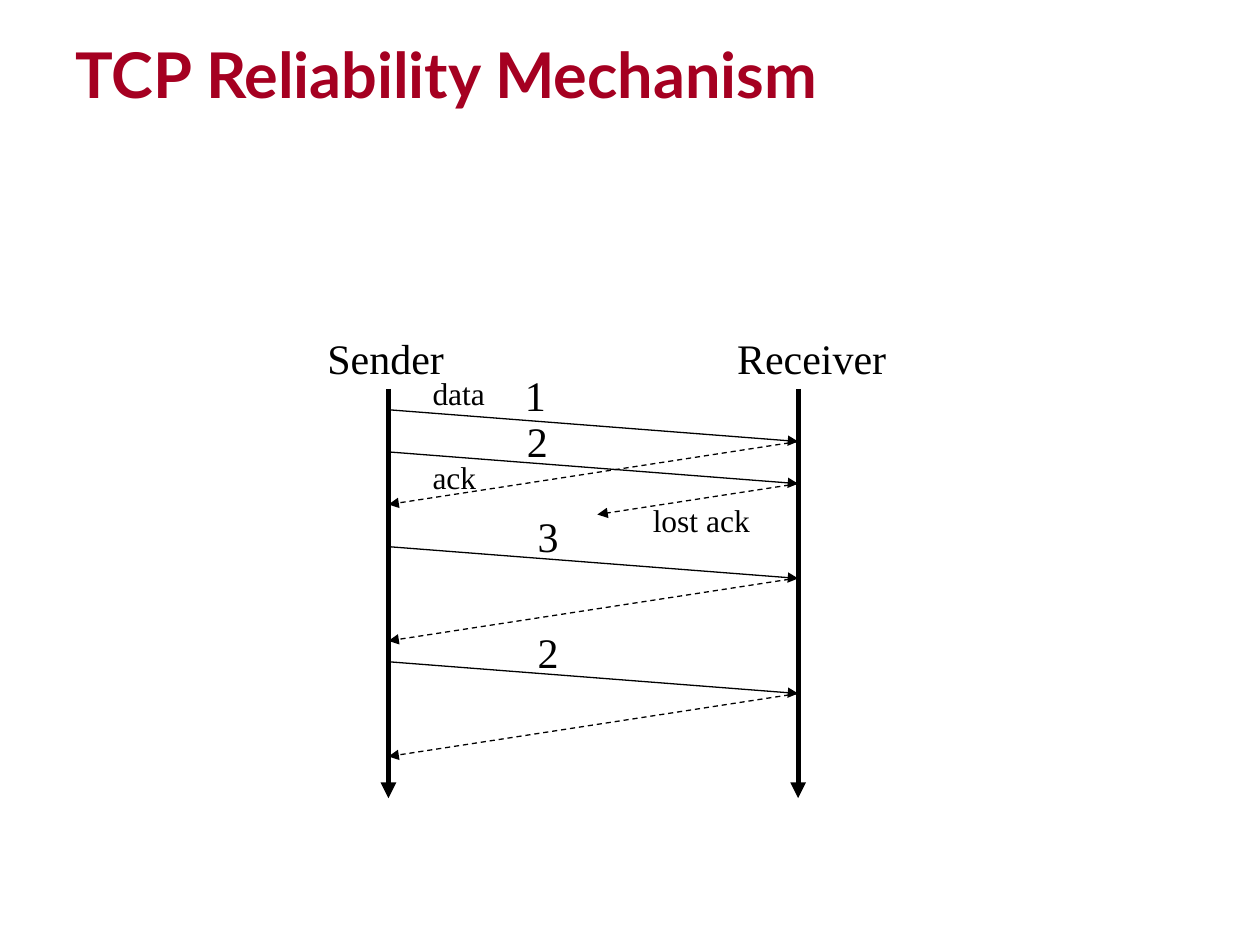
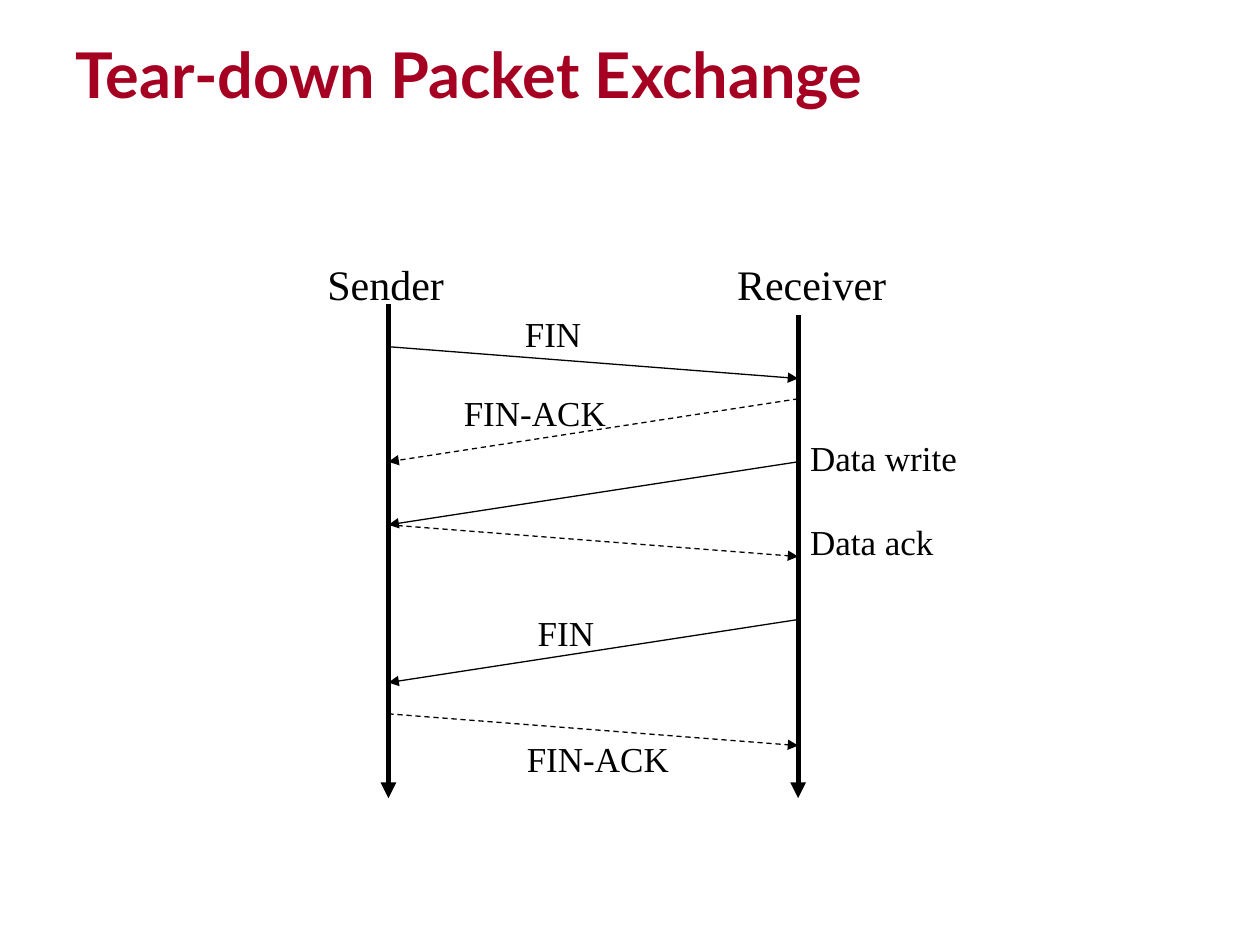
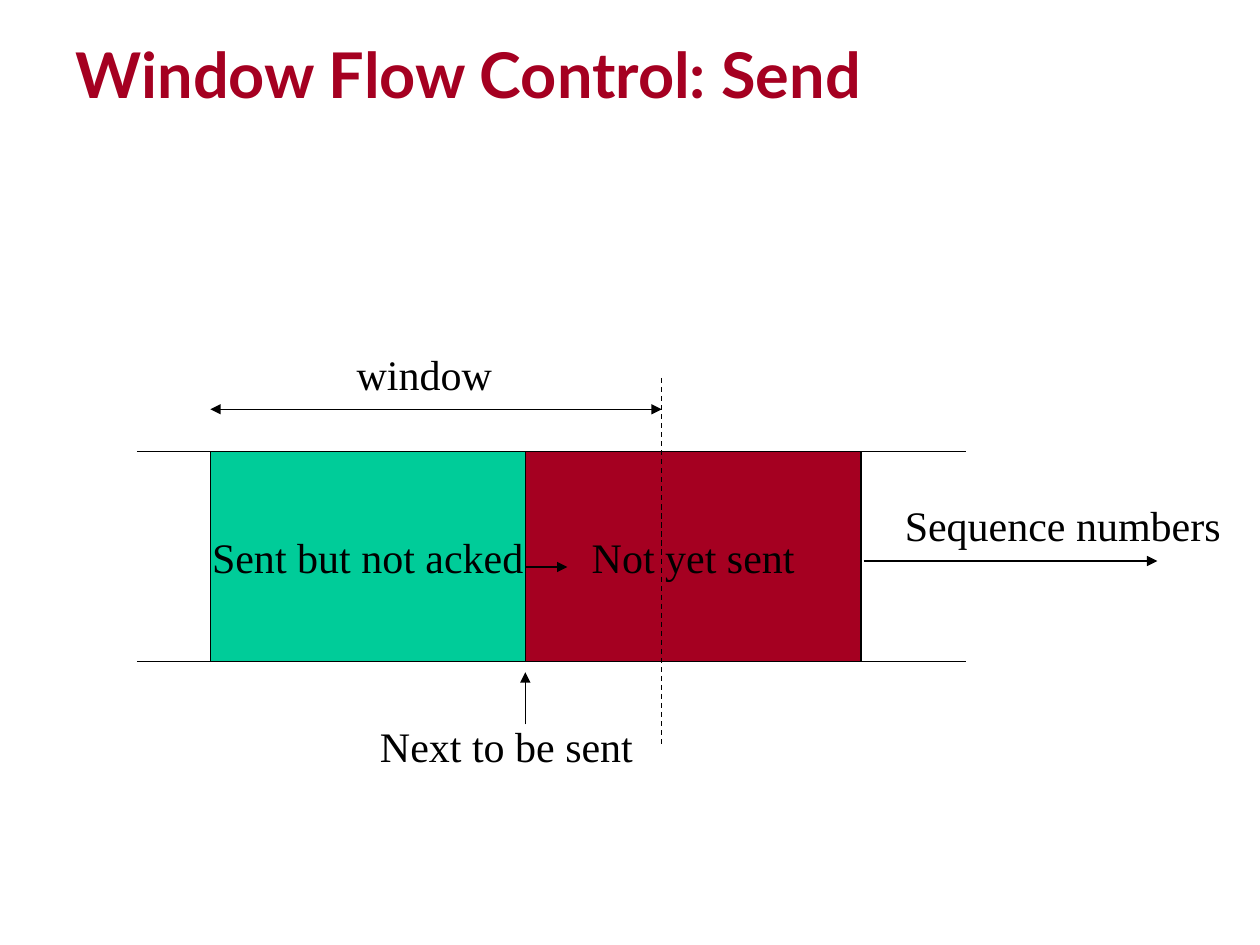
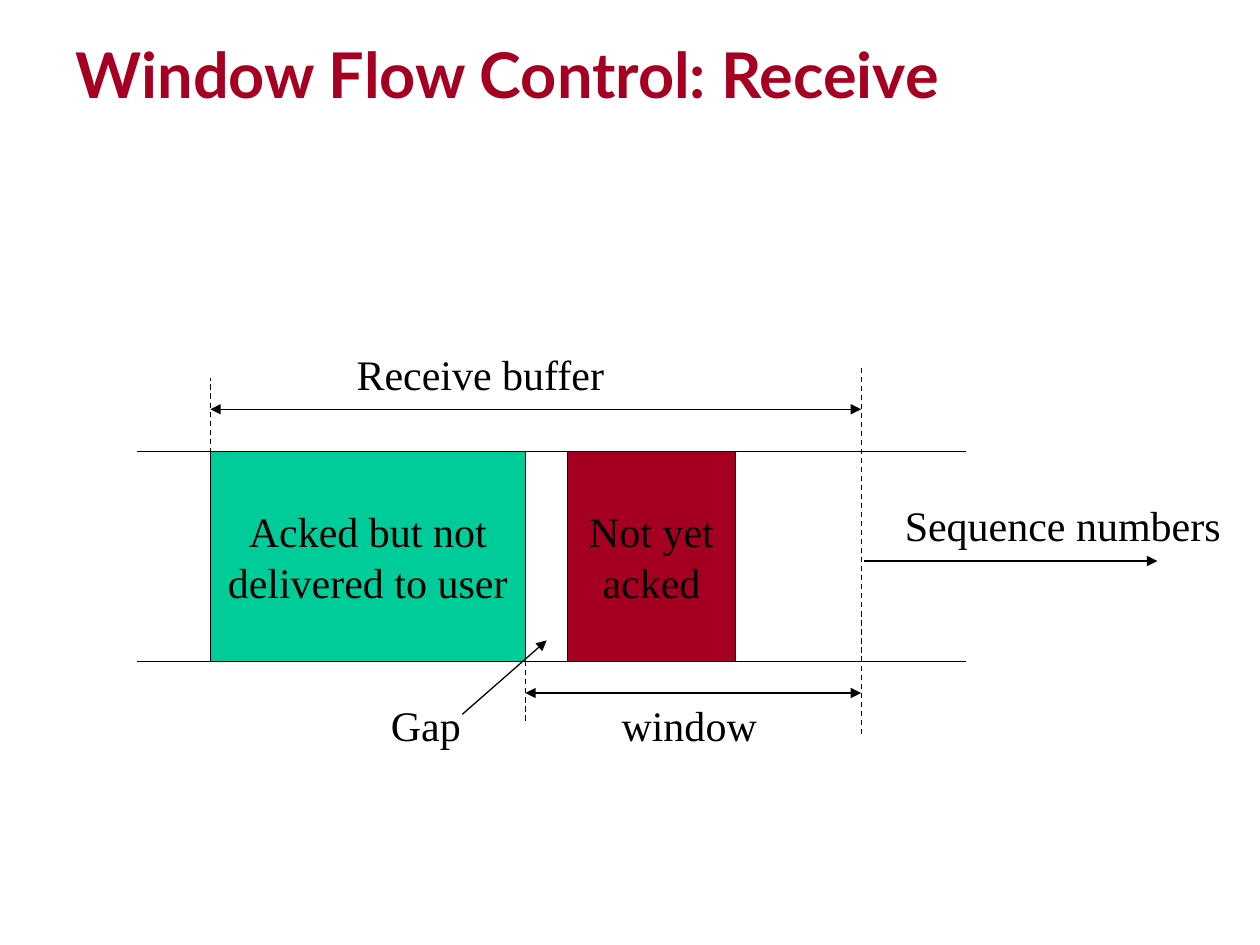
from typing import NamedTuple

from pptx import Presentation
from pptx.dml.color import RGBColor
from pptx.enum.dml import MSO_LINE
from pptx.enum.shapes import MSO_CONNECTOR, MSO_SHAPE
from pptx.enum.text import MSO_ANCHOR, MSO_AUTO_SIZE, PP_ALIGN
from pptx.oxml.ns import qn
from pptx.util import Cm, Pt
from lxml.etree import SubElement

RED = RGBColor(0xA5, 0x00, 0x21)
GREEN = RGBColor(0x00, 0xCC, 0x99)
BLACK = RGBColor(0x00, 0x00, 0x00)
TITLE_FONT = "Lato"
BODY_FONT = "Times New Roman"
THIN, THICK = 0.75, 3
RIGHT_DROP, LEFT_DROP = 0.64, 1.27
TITLE_ONLY = 5


class Box(NamedTuple):
    left: float
    top: float
    width: float
    height: float


TITLE_BOX = Box(1.27, 0.64, 22.86, 1.69)
RELIABILITY_BOX = Box(7.83, 7.84, 8.26, 8.25)
TEARDOWN_BOX = Box(7.83, 6.35, 8.26, 9.74)
BAND_BOX = Box(2.76, 9.1, 16.72, 4.23)


def format_text(tf, size, color=BLACK, font=BODY_FONT, bold=False, align=PP_ALIGN.LEFT):
    for p in tf.paragraphs:
        p.alignment = align
        for r in p.runs:
            r.font.name = font
            r.font.size = Pt(size)
            r.font.bold = bold
            r.font.color.rgb = color


def add_titled_slide(prs, title):
    s = prs.slides.add_slide(prs.slide_layouts[TITLE_ONLY])
    sp = s.shapes.title
    sp.left, sp.top, sp.width, sp.height = map(Cm, TITLE_BOX)
    tf = sp.text_frame
    tf.text = title
    tf.vertical_anchor = MSO_ANCHOR.MIDDLE
    tf.auto_size = MSO_AUTO_SIZE.NONE
    format_text(tf, 36, RED, TITLE_FONT, bold=True)
    return s


def add_label(s, box, text, x, y, width, size=24):
    height = 0.25 + 0.043 * size
    sp = s.shapes.add_textbox(Cm(box.left + x), Cm(box.top + y), Cm(width), Cm(height))
    tf = sp.text_frame
    tf.text = text
    tf.word_wrap = False
    tf.auto_size = MSO_AUTO_SIZE.SHAPE_TO_FIT_TEXT
    format_text(tf, size)


def add_line(s, box, start, end, weight=THIN, dashed=False, heads=()):
    (x1, y1), (x2, y2) = start, end
    c = s.shapes.add_connector(
        MSO_CONNECTOR.STRAIGHT,
        Cm(box.left + x1), Cm(box.top + y1), Cm(box.left + x2), Cm(box.top + y2))
    c.line.color.rgb = BLACK
    c.line.width = Pt(weight)
    if dashed:
        c.line.dash_style = MSO_LINE.DASH
    spPr = c._element.spPr
    for head in heads:
        SubElement(spPr.find(qn("a:ln")), qn(f"a:{head}"), type="triangle")
    SubElement(spPr, qn("a:effectLst"))


def add_arrow(s, box, start, end, **style):
    add_line(s, box, start, end, heads=("tailEnd",), **style)


def add_span(s, box, x1, x2, y):
    add_line(s, box, (x1, y), (x2, y), heads=("headEnd", "tailEnd"))


def add_block(s, box, text, x, width, color):
    sp = s.shapes.add_shape(
        MSO_SHAPE.RECTANGLE, Cm(box.left + x), Cm(box.top), Cm(width), Cm(box.height))
    sp.shadow.inherit = False
    sp.fill.solid()
    sp.fill.fore_color.rgb = color
    sp.line.color.rgb = BLACK
    sp.line.width = Pt(THIN)
    tf = sp.text_frame
    tf.text = text
    tf.word_wrap = False
    tf.vertical_anchor = MSO_ANCHOR.MIDDLE
    format_text(tf, 24, align=PP_ALIGN.CENTER)


def add_exchange(s, box, messages, labels, sender_top=0):
    lifelines = [("Sender", 0, sender_top, 2.89), ("Receiver", box.width, 0, 3.53)]
    for name, x, top, width in lifelines:
        add_arrow(s, box, (x, top), (x, box.height), weight=THICK)
        add_label(s, box, name, x - 1.48, -1.27, width)
    for direction, y, dashed, reach in messages:
        if direction == "right":
            x1, x2, drop = 0, box.width * reach, RIGHT_DROP
        else:
            x1, x2, drop = box.width, box.width * (1 - reach), LEFT_DROP
        add_arrow(s, box, (x1, y), (x2, y + drop * reach), dashed=dashed)
    for label in labels:
        add_label(s, box, *label)


def add_band(s, box, blocks, span_text, span_width, span_end):
    for y in (0, box.height):
        add_line(s, box, (0, y), (box.width, y))
    for block in blocks:
        add_block(s, box, *block)
    add_span(s, box, 1.48, span_end, -0.85)
    add_label(s, box, span_text, 4.18, -2.2, span_width)
    add_arrow(s, box, (14.65, 2.21), (20.57, 2.21))
    add_label(s, box, "Sequence numbers", 15.23, 0.84, 6.9)


def build_reliability(prs):
    s = add_titled_slide(prs, "TCP Reliability Mechanism")
    messages = [
        ("right", 0.42, False, 1),
        ("left", 1.06, True, 1),
        ("right", 1.27, False, 1),
        ("left", 1.91, True, 0.49),
        ("right", 3.18, False, 1),
        ("left", 3.81, True, 1),
        ("right", 5.5, False, 1),
        ("left", 6.14, True, 1),
    ]
    labels = [
        ("1", 2.5, -0.51, 0.92),
        ("2", 2.54, 0.42, 0.92),
        ("3", 2.76, 2.33, 0.92),
        ("2", 2.76, 4.66, 0.92),
        ("ack", 0.64, 1.27, 1.42, 18),
        ("data", 0.64, -0.42, 1.6, 18),
        ("lost ack", 5.08, 2.13, 2.48, 18),
    ]
    add_exchange(s, RELIABILITY_BOX, messages, labels)


def build_teardown(prs):
    s = add_titled_slide(prs, "Tear-down Packet Exchange")
    messages = [
        ("right", 0.64, False, 1),
        ("left", 1.69, True, 1),
        ("left", 2.96, False, 1),
        ("right", 4.23, True, 1),
        ("left", 6.14, False, 1),
        ("right", 8.04, True, 1),
    ]
    labels = [
        ("FIN", 2.5, -0.18, 1.67, 20),
        ("FIN-ACK", 1.27, 1.41, 3.4, 20),
        ("FIN", 2.76, 5.85, 1.67, 20),
        ("FIN-ACK", 2.54, 8.39, 3.4, 20),
        ("Data write", 8.25, 2.33, 3.5, 20),
        ("Data ack", 8.25, 4.02, 3.02, 20),
    ]
    add_exchange(s, TEARDOWN_BOX, messages, labels, sender_top=-0.22)


def build_send_window(prs):
    s = add_titled_slide(prs, "Window Flow Control: Send")
    box = BAND_BOX
    blocks = [("Sent but not acked", 1.48, 6.35, GREEN), ("Not yet sent", 7.83, 6.77, RED)]
    add_band(s, box, blocks, "window", 3.25, 10.58)
    add_line(s, box, (10.58, -1.48), (10.58, 5.93), dashed=True)
    add_arrow(s, box, (7.83, 5.5), (7.83, 4.45))
    add_label(s, box, "Next to be sent", 4.65, 5.3, 5.63)
    add_arrow(s, box, (7.83, 2.33), (8.68, 2.33))


def build_receive_window(prs):
    s = add_titled_slide(prs, "Window Flow Control: Receive")
    box = BAND_BOX
    blocks = [
        ("Acked but not\ndelivered to user", 1.48, 6.35, GREEN),
        ("Not yet\nacked", 8.68, 3.39, RED),
    ]
    add_band(s, box, blocks, "Receive buffer", 5.53, 14.6)
    for x, y1, y2 in [(14.6, -1.69, 5.72), (7.83, box.height, 5.5), (1.48, 0.21, -1.48)]:
        add_line(s, box, (x, y1), (x, y2), dashed=True)
    add_arrow(s, box, (6.56, 5.3), (8.26, 3.81))
    add_label(s, box, "Gap", 4.87, 4.87, 1.93)
    add_span(s, box, 7.83, 14.6, 4.87)
    add_label(s, box, "window", 9.52, 4.87, 3.25)


def main():
    prs = Presentation()
    prs.slide_width, prs.slide_height = Cm(25.4), Cm(19.05)
    build_reliability(prs)
    build_teardown(prs)
    build_send_window(prs)
    build_receive_window(prs)
    prs.save("out.pptx")


if __name__ == "__main__":
    main()
